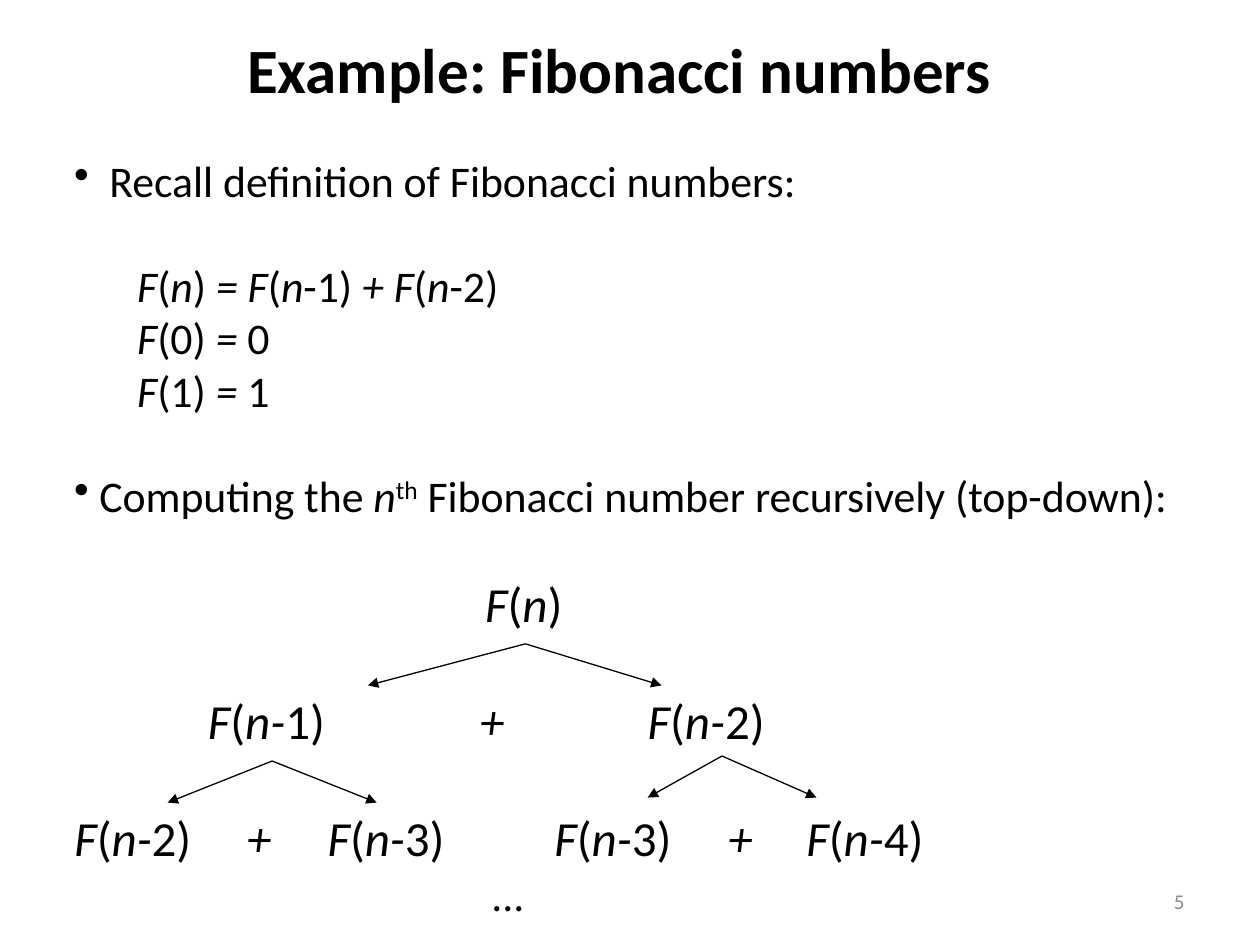
from lxml import etree
from pptx import Presentation
from pptx.dml.color import RGBColor
from pptx.enum.shapes import MSO_CONNECTOR
from pptx.enum.text import MSO_ANCHOR, PP_ALIGN
from pptx.oxml.ns import qn
from pptx.util import Inches, Pt

STRAIGHT = MSO_CONNECTOR.STRAIGHT
MIDDLE, TOP = MSO_ANCHOR.MIDDLE, MSO_ANCHOR.TOP
LEFT, CENTER, RIGHT = PP_ALIGN.LEFT, PP_ALIGN.CENTER, PP_ALIGN.RIGHT

THEME = {
    "font": "Calibri",
    "ink": RGBColor(0, 0, 0),
    "muted": RGBColor(0x8C, 0x8C, 0x8C),
    "title": 36,
    "body": 25,
    "tree": 28,
    "number": 12,
}


def write_text(paragraph, text, size=THEME["body"], color=THEME["ink"], bold=False,
               align=LEFT, before=0, margin=0, bullet=False):
    """Fill a paragraph; *...* is italic, and a ^ piece between stars is superscript."""
    properties = paragraph._p.get_or_add_pPr()
    properties.set("marL", str(Inches(margin)))
    properties.set("indent", str(Inches(-margin if bullet else 0)))
    if bullet:
        etree.SubElement(properties, qn("a:buChar"), char="•")
    else:
        etree.SubElement(properties, qn("a:buNone"))
    paragraph.alignment = align
    paragraph.space_before = Pt(before)
    for index, piece in enumerate(text.split("*")):
        if not piece:
            continue
        run = paragraph.add_run()
        run.text = piece.lstrip("^")
        run.font.name = THEME["font"]
        run.font.size = Pt(size)
        run.font.bold = bold
        run.font.color.rgb = color
        if piece.startswith("^"):
            run.font._element.set("baseline", "30000")
        else:
            run.font.italic = index % 2 == 1


def add_text_frame(left, top, width, height, anchor=TOP, inset=True):
    box = slide.shapes.add_textbox(Inches(left), Inches(top), Inches(width), Inches(height))
    frame = box.text_frame
    frame.word_wrap = True
    frame.vertical_anchor = anchor
    if not inset:
        frame.margin_left = frame.margin_right = frame.margin_top = frame.margin_bottom = 0
    return frame


presentation = Presentation()
presentation.slide_width = Inches(10)
presentation.slide_height = Inches(7.5)
slide = presentation.slides.add_slide(presentation.slide_layouts[5])

# Title
title = slide.shapes.title
title.left, title.top = Inches(0.78), Inches(0.08)
title.width, title.height = Inches(8.5), Inches(0.92)
title.text_frame.vertical_anchor = MIDDLE
title.text_frame.margin_right = Inches(0.33)
write_text(title.text_frame.paragraphs[0], "Example: Fibonacci numbers",
           size=THEME["title"], bold=True, align=CENTER)

# Definition
body = add_text_frame(0.49, 1.17, 9.08, 3.1)
group_gap = 30
lines = [
    ("Recall definition of Fibonacci numbers:", {"bullet": True, "margin": 0.28}),
    ("*F*(*n*)* = F*(*n*-1)* + F*(*n*-2)", {"margin": 0.5, "before": group_gap}),
    ("*F*(0)* = *0", {"margin": 0.5}),
    ("*F*(1)* = *1", {"margin": 0.5}),
    ("Computing the *n*^th* *Fibonacci number recursively (top-down):",
     {"bullet": True, "margin": 0.2, "before": group_gap}),
]
for index, (text, options) in enumerate(lines):
    paragraph = body.add_paragraph() if index else body.paragraphs[0]
    write_text(paragraph, text, **options)

# Recursion tree: one row per depth, each label with its left edge
tree_top, row_pitch, row_height = 4.55, 0.93, 0.47
tree_rows = [
    [(3.85, "*F*(*n*)")],
    [(1.65, "*F*(*n-*1)"), (3.81, "*+*"), (5.14, "*F*(*n-*2)")],
    [(0.59, "*F*(*n-*2)"), (1.96, "*+*"), (2.6, "*F*(*n-*3)"),
     (4.4, "*F*(*n-*3)"), (5.78, "*+*"), (6.4, "*F*(*n-*4)")],
]
for depth, labels in enumerate(tree_rows):
    for left, text in labels:
        width = 0.3 if text == "*+*" else 1.0
        frame = add_text_frame(left, tree_top + depth * row_pitch, width, row_height, inset=False)
        write_text(frame.paragraphs[0], text, size=THEME["tree"])
ellipsis = add_text_frame(3.9, 6.89, 0.4, 0.42, inset=False)
write_text(ellipsis.paragraphs[0], "...")

# Arrows from each call to its two subcalls
branches = [(4.17, 5.11, (2.92, 5.25)), (2.16, 6.04, (1.33, 2.99)), (5.73, 6.0, (5.14, 6.48))]
for parent_x, parent_y, child_xs in branches:
    for child_x in child_xs:
        arrow = slide.shapes.add_connector(STRAIGHT, Inches(parent_x), Inches(parent_y),
                                           Inches(child_x), Inches(parent_y + 0.33))
        arrow.line.color.rgb = THEME["ink"]
        arrow.line.width = Pt(0.75)
        etree.SubElement(arrow.line._get_or_add_ln(), qn("a:tailEnd"), type="triangle")
        etree.SubElement(arrow._element.spPr, qn("a:effectLst"))

# Slide number
number = add_text_frame(7.17, 6.95, 2.33, 0.4, anchor=MIDDLE)
write_text(number.paragraphs[0], "5", size=THEME["number"],
           color=THEME["muted"], align=RIGHT)

presentation.save("out.pptx")
